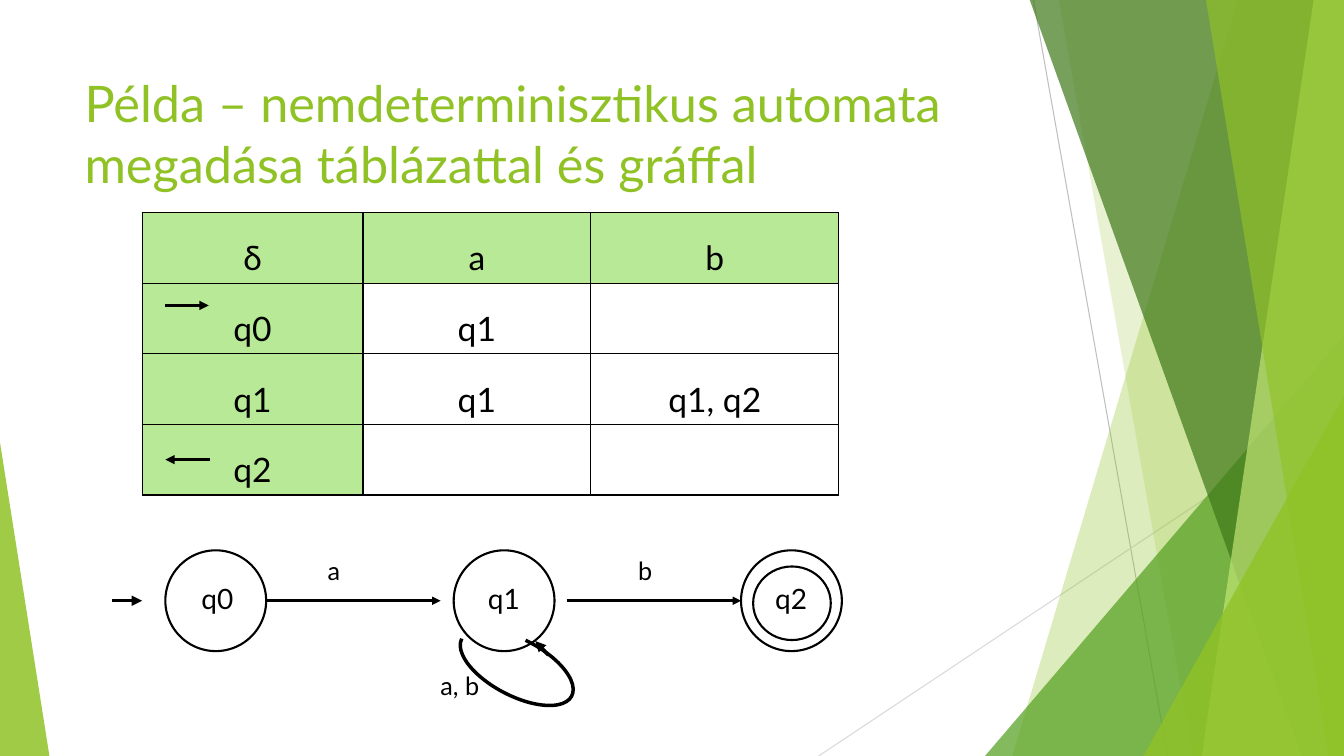
from pptx import Presentation
from pptx import util as u
from pptx.dml.color import RGBColor
from pptx.enum import shapes, text
from pptx.oxml import ns
from lxml import etree

PX = 9144  # EMU in one px, 100 px to the inch
COLORS = {
    "black": "000000", "lime": "90C226", "green": "54A021", "dark": "3F7819",
    "pale": "C0E474", "head": "B7E996", "gray": "BFBFBF", "light": "D9D9D9",
}
SHAPES = shapes.MSO_SHAPE


def rgb(name):
    return RGBColor.from_string(COLORS[name])


def sub(parent, tag, **attrs):
    return etree.SubElement(parent, ns.qn(tag), attrs)


class Slide:
    font = "Lato"

    def __init__(self, prs):
        self.s = prs.slides.add_slide(prs.slide_layouts[6])

    def finish(self, sp, fill=None, alpha=100, line=None):
        sp.shadow.inherit = False
        if fill:
            sp.fill.solid()
            sp.fill.fore_color.rgb = rgb(fill)
            color = sp._element.spPr.find(ns.qn("a:solidFill"))[0]
            sub(color, "a:alpha", val=str(alpha * 1000))
        else:
            sp.fill.background()
        if line:
            sp.line.color.rgb = rgb("black")
            sp.line.width = u.Pt(line)
        else:
            sp.line.fill.background()
        return sp

    def shape(self, kind, x, y, w, h, adj=None, **style):
        sp = self.s.shapes.add_shape(kind, x * PX, y * PX, w * PX, h * PX)
        if adj is not None:
            sp.adjustments[0] = adj
        return self.finish(sp, **style)

    def polygon(self, points, **style):
        fb = self.s.shapes.build_freeform(*points[0], scale=PX)
        fb.add_line_segments(points[1:], close=True)
        return self.finish(fb.convert_to_shape(), **style)

    def line(self, x1, y1, x2, y2, width, color="black", arrow=True):
        c = self.s.shapes.add_connector(
            shapes.MSO_CONNECTOR.STRAIGHT, x1 * PX, y1 * PX, x2 * PX, y2 * PX)
        c.line.color.rgb = rgb(color)
        c.line.width = u.Pt(width)
        if arrow:
            sub(c.line._get_or_add_ln(), "a:tailEnd", type="triangle")
        sub(c._element.spPr, "a:effectLst")

    def style(self, p, size, color="black"):
        for r in p.runs:
            r.font.name = self.font
            r.font.size = u.Pt(size)
            r.font.color.rgb = rgb(color)

    def label(self, words, x, y, w, h, size, color="black"):
        tf = self.s.shapes.add_textbox(x * PX, y * PX, w * PX, h * PX).text_frame
        tf.word_wrap = True
        tf.text = words
        self.style(tf.paragraphs[0], size, color)

    def cell_border(self, cell):
        tcPr = cell._tc.get_or_add_tcPr()
        for i, side in enumerate(("a:lnL", "a:lnR", "a:lnT", "a:lnB")):
            ln = etree.Element(ns.qn(side), w=str(u.Pt(1)))
            sub(sub(ln, "a:solidFill"), "a:srgbClr", val=COLORS["black"])
            tcPr.insert(i, ln)

    def table(self, rows, x, y, widths, height):
        t = self.s.shapes.add_table(
            len(rows), len(widths), x * PX, y * PX,
            sum(widths) * PX, height * len(rows) * PX).table
        t.first_row = t.horz_banding = False
        for col, w in zip(t.columns, widths):
            col.width = w * PX
        for i, row in enumerate(rows):
            t.rows[i].height = height * PX
            for j, words in enumerate(row):
                cell = t.cell(i, j)
                if i == 0 or j == 0:
                    cell.fill.solid()
                    cell.fill.fore_color.rgb = rgb("head")
                else:
                    cell.fill.background()
                self.cell_border(cell)
                if words:
                    p = cell.text_frame.paragraphs[0]
                    p.text = words
                    p.alignment = text.PP_ALIGN.CENTER
                    p.line_spacing = 1.5
                    self.style(p, 24)


def main():
    prs = Presentation()
    prs.slide_width, prs.slide_height = 1333 * PX, 750 * PX
    s = Slide(prs)

    # Background facets: each band runs from its top edge to the right side
    def band(top, bottom_left, bottom_right, fill, alpha):
        s.polygon([(top, -1), (1333, -1), (1333, 750), (bottom_right, 750),
                   (bottom_left, 750)], fill=fill, alpha=alpha)

    def facet(x, y, w, apex, fill, alpha):
        s.shape(SHAPES.ISOSCELES_TRIANGLE, x, y, w, 750 - y, apex,
                fill=fill, alpha=alpha)

    s.line(1025, 0, 1158, 750, 0.75, "gray", arrow=False)
    s.line(1333, 403, 812, 750, 0.75, "light", arrow=False)
    band(1228, 1004, 1333, "lime", 30)
    band(1050, 1183, 1333, "lime", 20)
    facet(977, 333, 356, 1, "green", 72)
    band(1021, 1291, 1333, "dark", 70)
    band(1303, 1192, 1333, "pale", 70)
    band(1196, 1318, 1333, "lime", 65)
    facet(1134, 393, 199, 1, "lime", 80)
    facet(0, 439, 49, 0, "lime", 85)

    # Title
    s.label("Példa – nemdeterminisztikus automata megadása táblázattal és gráffal",
            74, 67, 940, 144, 36, "lime")

    # Transition table with start and final state marks
    s.table([["δ", "a", "b"],
             ["q0", "q1", ""],
             ["q1", "q1", "q1, q2"],
             ["q2", "", ""]], 141, 211, [219, 226, 246], 70)
    s.line(164, 303, 207, 303, 2.25)
    s.line(208, 456, 164, 456, 2.25)

    # States of the graph
    for name, x, name_x in (("q0", 164, 190), ("q1", 450, 474), ("q2", 735, 759)):
        s.shape(SHAPES.OVAL, x, 546, 100, 100, line=1.5)
        s.label(name, name_x, 572, 53, 44, 20)
    s.shape(SHAPES.OVAL, 747, 562, 77, 73, line=1.5)

    # Transitions
    for x1, x2, width in ((111, 141, 2.5), (264, 437, 2), (562, 735, 2)):
        s.line(x1, 596, x2, 596, width)
    loop = s.shape(SHAPES.ARC, 451, 634, 123, 56, 80.58 * 0.6, line=2.5)
    loop.rotation = 207.6
    s.line(544, 650, 531, 636, 2.5)
    for name, x, y, w in (("a", 315, 546, 32), ("a, b", 427, 660, 72),
                          ("b", 623, 546, 32)):
        s.label(name, x, y, w, 40, 18)

    prs.save("out.pptx")


if __name__ == "__main__":
    main()
